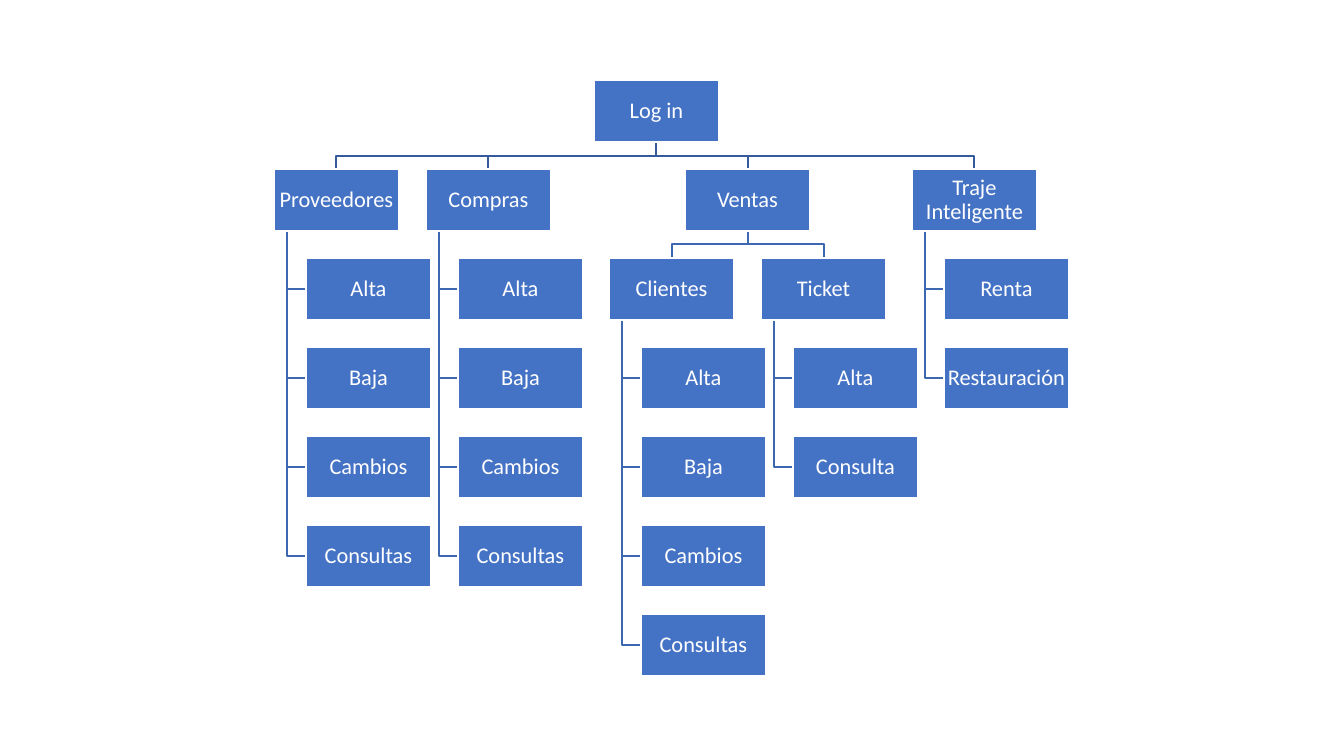
from pptx import Presentation
from pptx.dml.color import RGBColor
from pptx.enum.shapes import MSO_SHAPE as Shape
from pptx.enum.text import MSO_ANCHOR as Anchor, PP_ALIGN as Align
from pptx.util import Emu, Pt

EMU_PER_PX = 914400 / 100.8
WHITE = RGBColor(0xFF, 0xFF, 0xFF)
BLUE = RGBColor(0x44, 0x72, 0xC4)
ROOT_LINE = RGBColor(0x36, 0x5B, 0x9D)
BRANCH_LINE = RGBColor(0x3E, 0x67, 0xB2)

BOX_WIDTH, BOX_HEIGHT = 125, 62
FIRST_TOP, ROW_PITCH = 80, 89
LEAF_INDENT, SPINE_INDENT = 32, 13

ROOT = ("Log in", 594, 0)
VENTAS = ("Ventas", 685, 1)
ACTIONS = ["Alta", "Baja", "Cambios", "Consultas"]
MODULES = [
    (("Proveedores", 274, 1), ACTIONS),
    (("Compras", 426, 1), ACTIONS),
    (VENTAS, []),
    (("Traje Inteligente", 912, 1), ["Renta", "Restauración"]),
]
SALES_PARTS = [
    (("Clientes", 609, 2), ACTIONS),
    (("Ticket", 761, 2), ["Alta", "Consulta"]),
]


def px(length):
    return Emu(round(length * EMU_PER_PX))


def row_top(row):
    return FIRST_TOP + ROW_PITCH * row


def leaf_nodes(parent, labels):
    _, left, row = parent
    return [(label, left + LEAF_INDENT, row + step)
            for step, label in enumerate(labels, 1)]


def add_route(chart, points, color):
    builder = chart.shapes.build_freeform(*points[0], scale=EMU_PER_PX)
    builder.add_line_segments(points[1:], close=False)
    route = builder.convert_to_shape()
    route.shadow.inherit = False
    route.fill.background()
    route.line.color.rgb = color
    route.line.width = Pt(1)


def add_fork(chart, parent, child, color):
    start_x, end_x = (left + BOX_WIDTH / 2 for _, left, _ in (parent, child))
    start_y = row_top(parent[2]) + BOX_HEIGHT
    end_y = row_top(child[2])
    middle = (start_y + end_y) / 2
    add_route(chart, [(start_x, start_y), (start_x, middle),
                      (end_x, middle), (end_x, end_y)], color)


def add_hanger(chart, parent, leaf):
    spine = parent[1] + SPINE_INDENT
    end_y = row_top(leaf[2]) + BOX_HEIGHT / 2
    add_route(chart, [(spine, row_top(parent[2]) + BOX_HEIGHT),
                      (spine, end_y), (leaf[1], end_y)], BRANCH_LINE)


def add_box(chart, node):
    label, left, row = node
    box = chart.shapes.add_shape(Shape.RECTANGLE, px(left), px(row_top(row)),
                                 px(BOX_WIDTH), px(BOX_HEIGHT))
    box.shadow.inherit = False
    box.fill.solid()
    box.fill.fore_color.rgb = BLUE
    box.line.color.rgb = WHITE
    box.line.width = Pt(1)
    frame = box.text_frame
    frame.word_wrap = True
    frame.vertical_anchor = Anchor.MIDDLE
    frame.margin_left = frame.margin_right = px(1)
    frame.margin_top = frame.margin_bottom = px(1)
    para = frame.paragraphs[0]
    para.alignment = Align.CENTER
    para.line_spacing = 0.9
    span = para.add_run()
    span.text = label
    span.font.name = "Calibri"
    span.font.size = Pt(16)
    span.font.color.rgb = WHITE


def main():
    deck = Presentation()
    deck.slide_width, deck.slide_height = px(1344), px(756)
    page = deck.slides.add_slide(deck.slide_layouts[6])
    chart = page.shapes.add_group_shape()

    for module, _ in MODULES:
        add_fork(chart, ROOT, module, ROOT_LINE)
    for part, _ in SALES_PARTS:
        add_fork(chart, VENTAS, part, BRANCH_LINE)

    branches = MODULES + SALES_PARTS
    for parent, labels in branches:
        for leaf in leaf_nodes(parent, labels):
            add_hanger(chart, parent, leaf)

    add_box(chart, ROOT)
    for parent, labels in branches:
        for node in [parent] + leaf_nodes(parent, labels):
            add_box(chart, node)

    deck.save("out.pptx")


if __name__ == "__main__":
    main()
